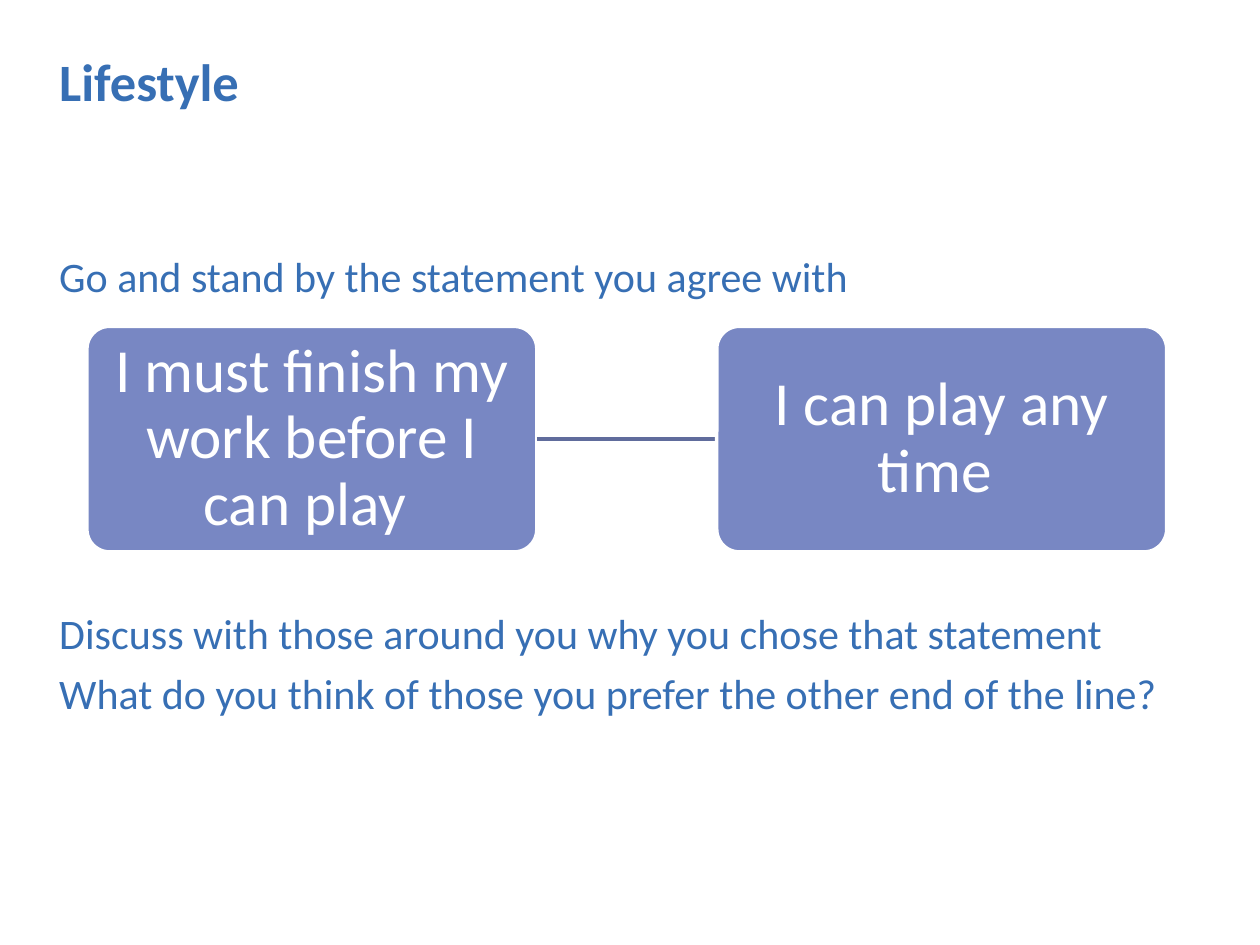
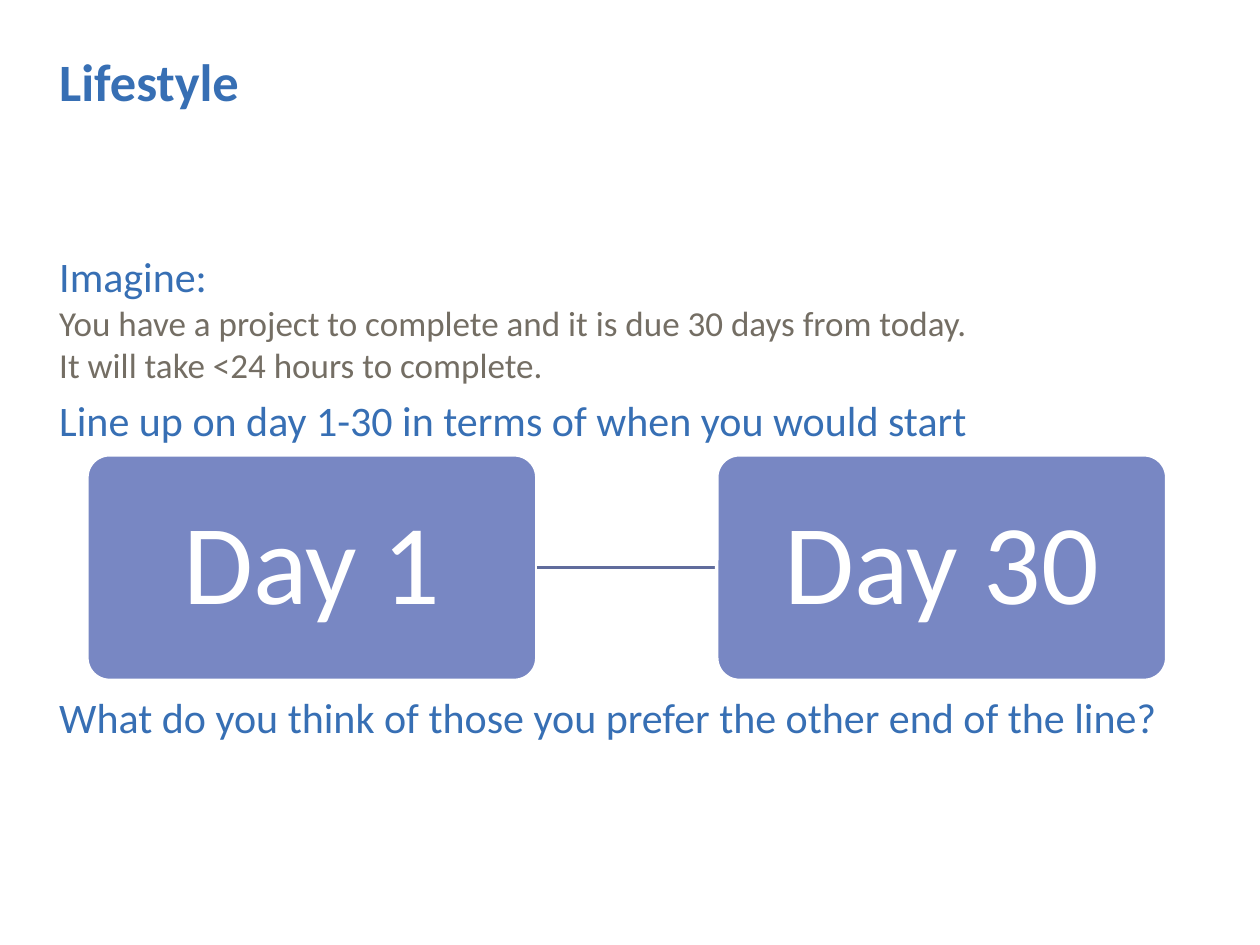
from dataclasses import dataclass

from pptx import Presentation
from pptx.dml.color import RGBColor
from pptx.enum.shapes import MSO_CONNECTOR as Connector, MSO_SHAPE as Shape
from pptx.enum.text import MSO_ANCHOR as Anchor, MSO_AUTO_SIZE as AutoSize, PP_ALIGN as Align
from pptx.oxml.ns import qn
from pptx.util import Inches, Pt

COLUMNS, ROWS = 100, 75
CELL = Inches(10) / COLUMNS


@dataclass(frozen=True)
class Theme:
    font: str = "Calibri"
    blue: RGBColor = RGBColor(0x37, 0x6F, 0xB4)
    grey: RGBColor = RGBColor(0x74, 0x6E, 0x64)
    card: RGBColor = RGBColor(0x78, 0x87, 0xC3)
    rule: RGBColor = RGBColor(0x60, 0x6C, 0x9C)
    white: RGBColor = RGBColor(0xFF, 0xFF, 0xFF)
    title_size: int = 30
    prompt_size: int = 24
    detail_size: int = 20
    prompt_leading: int = 28
    detail_leading: int = 18
    paragraph_gap: int = 6
    outline: int = 2


@dataclass(frozen=True)
class Box:
    column: float
    row: float
    columns: float
    rows: float

    @property
    def emu(self):
        return [round(n * CELL) for n in (self.column, self.row, self.columns, self.rows)]


@dataclass(frozen=True)
class Line:
    text: str
    level: int = 0
    skipped: int = 0


THEME = Theme()
TITLE_BOX = Box(4.7, 4.7, 90.6, 14.6)
BODY_BOX = Box(4.7, 20, 90.6, 45.3)
CLOSING = "What do you think of those you prefer the other end of the line?"


def set_font(font, size, color, bold=False):
    font.name, font.size, font.bold = THEME.font, Pt(size), bold
    font.color.rgb = color


def set_insets(frame, inset):
    frame.margin_left = frame.margin_top = inset
    frame.margin_right = frame.margin_bottom = inset


def place(placeholder, box):
    placeholder.left, placeholder.top, placeholder.width, placeholder.height = box.emu
    frame = placeholder.text_frame
    frame.word_wrap = True
    frame.auto_size = AutoSize.NONE
    frame.vertical_anchor = Anchor.TOP
    set_insets(frame, 0)
    return frame


def add_title(slide, box, text):
    frame = place(slide.shapes.title, box)
    frame.text = text
    heading = frame.paragraphs[0]
    heading.alignment = Align.LEFT
    heading.line_spacing = Pt(THEME.title_size)
    set_font(heading.runs[0].font, THEME.title_size, THEME.blue, bold=True)


def add_prompts(slide, box, lines):
    frame = place(slide.placeholders[1], box)
    frame.text = "\n".join(line.text for line in lines)
    for paragraph, line in zip(frame.paragraphs, lines):
        properties = paragraph._p.get_or_add_pPr()
        properties.set("marL", "0")
        properties.set("indent", "0")
        properties.append(properties.makeelement(qn("a:buNone"), {}))
        size, leading, color = (
            (THEME.detail_size, THEME.detail_leading, THEME.grey) if line.level
            else (THEME.prompt_size, THEME.prompt_leading, THEME.blue))
        paragraph.level = line.level
        paragraph.line_spacing = Pt(leading)
        paragraph.space_before = Pt(line.skipped * (THEME.prompt_leading + THEME.paragraph_gap))
        paragraph.space_after = Pt(THEME.paragraph_gap)
        set_font(paragraph.runs[0].font, size, color)


def add_card(slide, box, text, size, inset):
    card = slide.shapes.add_shape(Shape.ROUNDED_RECTANGLE, *box.emu)
    card.shadow.inherit = False
    card.adjustments[0] = 0.1
    card.fill.solid()
    card.fill.fore_color.rgb = THEME.card
    card.line.color.rgb = THEME.white
    card.line.width = Pt(THEME.outline)
    frame = card.text_frame
    frame.word_wrap = True
    frame.vertical_anchor = Anchor.MIDDLE
    set_insets(frame, Inches(inset))
    frame.text = text
    statement = frame.paragraphs[0]
    statement.alignment = Align.CENTER
    statement.line_spacing = 0.9
    set_font(statement.runs[0].font, size, THEME.white)
    return card


def add_spectrum(slide, box, ends, size, inset):
    unit = box.columns / 12
    near_box = Box(box.column, box.row, 5 * unit, box.rows)
    far_box = Box(box.column + 7 * unit, box.row, 5 * unit, box.rows)
    near = add_card(slide, near_box, ends[0], size, inset)
    span = slide.shapes.add_connector(Connector.STRAIGHT, 0, 0, 0, 0)
    far = add_card(slide, far_box, ends[1], size, inset)
    span.begin_connect(near, 3)
    span.end_connect(far, 1)
    span.line.color.rgb = THEME.rule
    span.line.width = Pt(THEME.outline)
    effects = span._element.spPr
    effects.append(effects.makeelement(qn("a:effectLst"), {}))


def add_lineup_slide(deck, lines, spectrum_row, ends, size, inset):
    slide = deck.slides.add_slide(deck.slide_layouts[1])
    add_title(slide, TITLE_BOX, "Lifestyle")
    add_prompts(slide, BODY_BOX, lines)
    add_spectrum(slide, Box(6.9, spectrum_row, 85.7, 17.9), ends, size, inset)


def main():
    deck = Presentation()
    deck.slide_width = round(COLUMNS * CELL)
    deck.slide_height = round(ROWS * CELL)
    add_lineup_slide(
        deck,
        [Line("Go and stand by the statement you agree with"),
         Line("Discuss with those around you why you chose that statement", skipped=5),
         Line(CLOSING)],
        25.9,
        ("I must finish my work before I can play ", "I can play any time "),
        size=35, inset=0.02)
    add_lineup_slide(
        deck,
        [Line("Imagine:"),
         Line("You have a project to complete and it is due 30 days from today.", level=1),
         Line("It will take <24 hours to complete.", level=1),
         Line("Line up on day 1-30 in terms of when you would start"),
         Line(CLOSING, skipped=4)],
        36.1,
        ("Day 1", "Day 30"),
        size=65, inset=0.05)
    deck.save("out.pptx")


if __name__ == "__main__":
    main()
